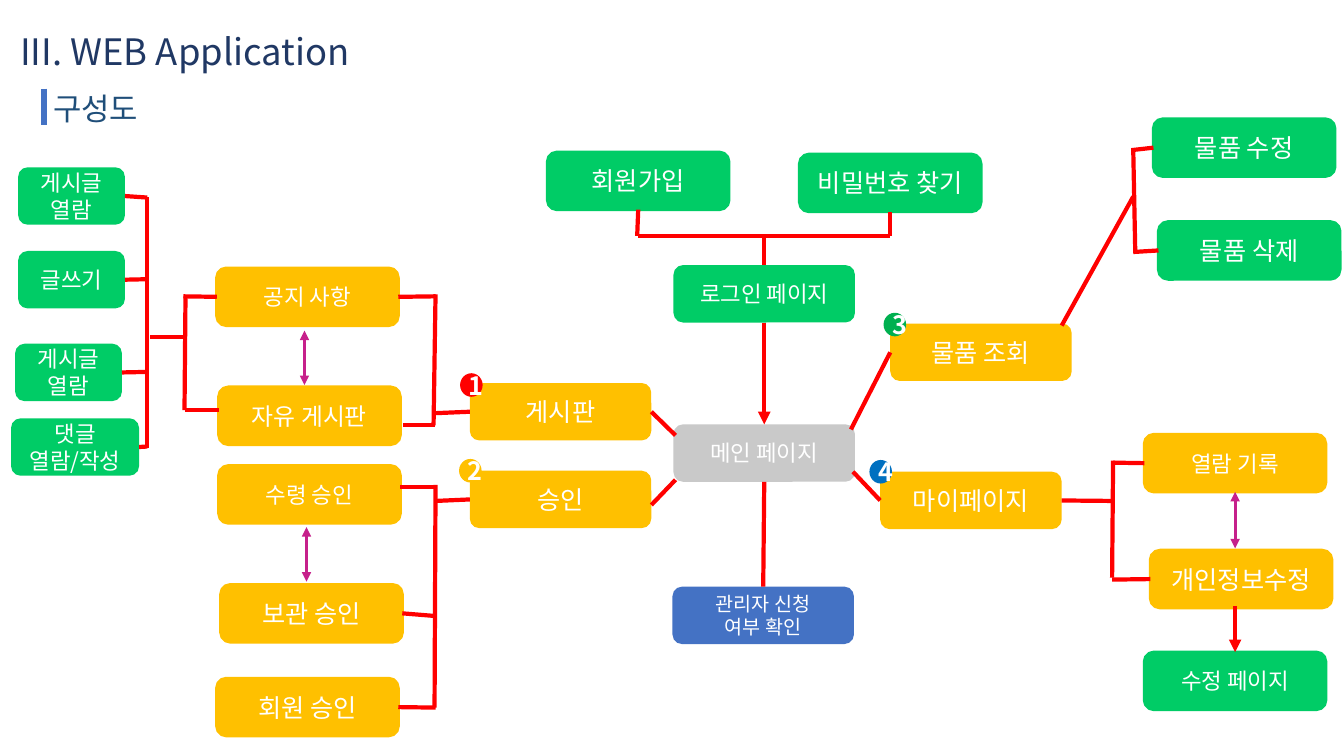
"""Build the site-map slide of a web application."""
from dataclasses import dataclass
from typing import Optional

from lxml.etree import SubElement
from pptx import Presentation
from pptx.dml.color import RGBColor
from pptx.enum.shapes import MSO_CONNECTOR, MSO_SHAPE
from pptx.enum.text import MSO_ANCHOR, MSO_AUTO_SIZE, PP_ALIGN
from pptx.oxml.ns import qn
from pptx.util import Inches, Pt

FONT = "Noto Sans CJK KR"
COLOURS = {
    "title": "203864", "subtitle": "1F4E79", "white": "FFFFFF",
    "green": "00CC66", "amber": "FFC000", "grey": "C9C9C9", "blue": "4472C4",
    "red": "FF0000", "purple": "C6208B", "leaf": "00B050", "sea": "0070C0",
}
SNAP = 0.03


@dataclass
class Box:
    """A page of the site map."""
    text: str
    left: float
    top: float
    colour: str
    size: int = 18
    outline: float = 0
    width: float = 1.8
    height: float = 0.57
    bold: bool = False
    preset: MSO_SHAPE = MSO_SHAPE.ROUNDED_RECTANGLE

    def sites(self) -> list:
        """Return the middles of the top, left, bottom and right sides."""
        middle, centre = self.left + self.width / 2, self.top + self.height / 2
        return [(middle, self.top), (self.left, centre),
                (middle, self.top + self.height), (self.left + self.width, centre)]


@dataclass
class Link:
    """A straight line between two points."""
    start: tuple
    end: tuple
    colour: str = "red"
    width: float = 3
    heads: tuple = ()


BOXES = [
    Box("로그인 페이지", 6.68, 2.63, "green", 16),
    Box("회원가입", 5.43, 1.51, "green", outline=2.25),
    Box("비밀번호 찾기", 7.93, 1.53, "green", outline=2.25),
    Box("메인 페이지", 6.68, 4.21, "grey", 16),
    Box("게시판", 4.66, 3.8, "amber"),
    Box("승인", 4.66, 4.67, "amber"),
    Box("마이페이지", 8.73, 4.68, "amber"),
    Box("물품 조회", 8.83, 3.21, "amber"),
    Box("공지 사항", 2.15, 2.66, "amber", 16, 2.25),
    Box("자유 게시판", 2.17, 3.84, "amber", 17, 2.25),
    Box("수령 승인", 2.17, 4.62, "amber", 16, 2.25),
    Box("보관 승인", 2.19, 5.8, "amber", outline=2.25),
    Box("회원 승인", 2.15, 6.73, "amber", outline=2.25),
    Box("열람 기록", 11.35, 4.31, "amber", 16, 2.25),
    Box("개인정보수정", 11.41, 5.46, "amber", outline=2.25),
    Box("수정 페이지", 11.35, 6.47, "green", 16, 2.25),
    Box("물품 수정", 11.44, 1.18, "green", outline=2.25),
    Box("물품 삭제", 11.49, 2.2, "green", outline=2.25),
    Box("게시글\n열람", 0.18, 1.66, "green", 16, width=1.06),
    Box("글쓰기", 0.18, 2.49, "green", 16, width=1.06),
    Box("게시글 열람", 0.15, 3.41, "green", 16, width=1.06),
    Box("댓글\n열람/작성", 0.11, 4.15, "green", 16, width=1.27),
    Box("관리자 신청\n여부 확인", 6.67, 5.82, "blue", 14),
]
BADGES = [
    Box(str(number), left, top, colour, 18, 1, 0.21, 0.22, True, MSO_SHAPE.OVAL)
    for number, (left, top, colour) in enumerate(
        [(4.57, 3.71, "red"), (4.56, 4.56, "amber"), (8.77, 3.11, "leaf"), (8.63, 4.57, "sea")], 1)
]
BOTH_ENDS, FAR_END = ("headEnd", "tailEnd"), ("tailEnd",)
LINKS = [
    Link((0.44, 0.88), (0.44, 1.24), "blue", 4.5),
    Link((3.02, 3.28), (3.02, 3.82), "purple", 2.25, BOTH_ENDS),
    Link((3.04, 5.23), (3.04, 5.77), "purple", 2.25, BOTH_ENDS),
    Link((12.25, 4.9), (12.25, 5.44), "purple", 2.25, BOTH_ENDS),
    Link((7.58, 3.21), (7.58, 4.21), heads=FAR_END),
    Link((12.25, 6.01), (12.25, 6.47), heads=FAR_END),
    Link((6.33, 2.34), (8.83, 2.34)),
    Link((7.58, 2.63), (7.58, 2.34)),
    Link((6.32, 2.34), (6.32, 2.1)),
    Link((8.83, 2.34), (8.83, 2.1)),
    Link((6.45, 4.1), (6.7, 4.32)),
    Link((6.46, 5.01), (6.7, 4.76)),
    Link((8.46, 4.68), (8.73, 4.97)),
    Link((8.44, 4.26), (8.83, 3.49)),
    Link((7.58, 4.78), (7.57, 5.82)),
    Link((10.53, 3.23), (11.24, 1.95)),
    Link((11.26, 2.51), (11.24, 1.49)),
    Link((11.22, 1.49), (11.44, 1.49)),
    Link((11.24, 2.5), (11.49, 2.5)),
    Link((10.53, 4.97), (11.03, 4.97)),
    Link((11.03, 5.73), (11.04, 4.57)),
    Link((11.04, 4.59), (11.35, 4.59)),
    Link((11.03, 5.75), (11.41, 5.75)),
    Link((4.32, 4.97), (4.67, 4.97)),
    Link((4.31, 7.02), (4.32, 4.81)),
    Link((3.97, 4.83), (4.32, 4.83)),
    Link((3.99, 6.11), (4.3, 6.11)),
    Link((3.97, 7.02), (4.32, 7.02)),
    Link((4.3, 4.1), (4.66, 4.1)),
    Link((4.3, 4.22), (4.32, 2.92)),
    Link((3.97, 2.94), (4.32, 2.94)),
    Link((4, 4.22), (4.31, 4.22)),
    Link((1.49, 3.34), (1.84, 3.34)),
    Link((1.83, 4.07), (1.84, 2.94)),
    Link((1.82, 2.94), (2.15, 2.94)),
    Link((1.83, 4.07), (2.17, 4.07)),
    Link((1.46, 4.44), (1.46, 1.95)),
    Link((1.24, 1.96), (1.46, 1.96)),
    Link((1.24, 2.77), (1.47, 2.77)),
    Link((1.21, 3.69), (1.45, 3.69)),
    Link((1.38, 4.44), (1.46, 4.43)),
]


def colour_of(name: str) -> RGBColor:
    """Look up a colour by name."""
    return RGBColor.from_string(COLOURS[name])


def write_text(shape, text: str, size: int, colour: str, align=PP_ALIGN.LEFT, bold=False) -> None:
    """Write lines of text as paragraphs in one font."""
    shape.text_frame.text = text
    shape.text_frame.word_wrap = True
    for paragraph in shape.text_frame.paragraphs:
        paragraph.alignment = align
        font = paragraph.font
        font.name, font.size, font.bold = FONT, Pt(size), bold
        font.color.rgb = colour_of(colour)
        properties = paragraph._p.find(f"{qn('a:pPr')}/{qn('a:defRPr')}")
        SubElement(properties, qn("a:ea")).set("typeface", FONT)


def draw_heading(shape, text: str, size: int, colour: str) -> None:
    """Format a heading that hangs from the top of its frame."""
    write_text(shape, text, size, colour)
    shape.text_frame.vertical_anchor = MSO_ANCHOR.TOP
    shape.text_frame.auto_size = MSO_AUTO_SIZE.NONE


def draw_box(slide, box: Box):
    """Draw a filled shape with centred white text."""
    shape = slide.shapes.add_shape(
        box.preset, *map(Inches, (box.left, box.top, box.width, box.height)))
    shape.shadow.inherit = False
    shape.fill.solid()
    shape.fill.fore_color.rgb = colour_of(box.colour)
    if box.outline:
        shape.line.color.rgb = colour_of(box.colour)
        shape.line.width = Pt(box.outline)
    else:
        shape.line.fill.background()
    write_text(shape, box.text, box.size, "white", PP_ALIGN.CENTER, box.bold)
    shape.text_frame.vertical_anchor = MSO_ANCHOR.MIDDLE
    return shape


def find_site(point: tuple, shapes: list) -> Optional[tuple]:
    """Find the box side whose middle lies at a point."""
    for box, shape in zip(BOXES, shapes):
        for index, site in enumerate(box.sites()):
            if max(abs(a - b) for a, b in zip(point, site)) <= SNAP:
                return shape, index
    return None


def draw_link(slide, link: Link, shapes: list) -> None:
    """Draw a line and join it to the boxes that it meets."""
    connector = slide.shapes.add_connector(
        MSO_CONNECTOR.STRAIGHT, *map(Inches, link.start + link.end))
    connector.line.color.rgb = colour_of(link.colour)
    connector.line.width = Pt(link.width)
    for head in link.heads:
        SubElement(connector.line._get_or_add_ln(), qn(f"a:{head}")).set("type", "triangle")
    SubElement(connector._element.spPr, qn("a:effectLst"))
    for point, connect in ((link.start, connector.begin_connect), (link.end, connector.end_connect)):
        site = find_site(point, shapes)
        if site:
            connect(*site)


def main() -> None:
    """Build and save the presentation."""
    presentation = Presentation()
    presentation.slide_width, presentation.slide_height = Inches(13.33), Inches(7.5)
    slide = presentation.slides.add_slide(presentation.slide_layouts[5])
    title = slide.shapes.title
    title.left, title.top, title.width, title.height = map(Inches, (0.1, 0.24, 4.68, 0.54))
    draw_heading(title, "III. WEB Application", 26, "title")
    subtitle = slide.shapes.add_textbox(*map(Inches, (0.43, 0.84, 1.06, 0.47)))
    draw_heading(subtitle, "구성도", 22, "subtitle")
    shapes = [draw_box(slide, box) for box in BOXES]
    for link in LINKS:
        draw_link(slide, link, shapes)
    for badge in BADGES:
        draw_box(slide, badge)
    presentation.save("out.pptx")


if __name__ == "__main__":
    main()
